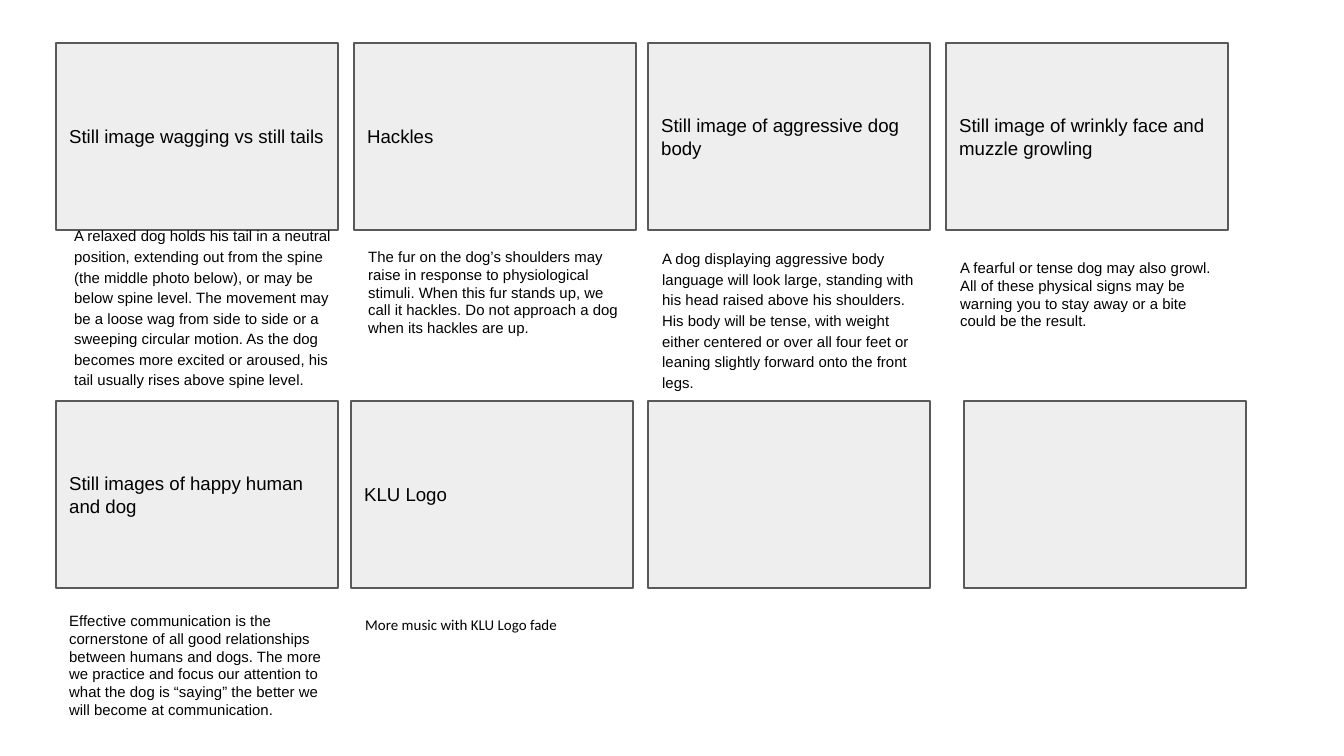
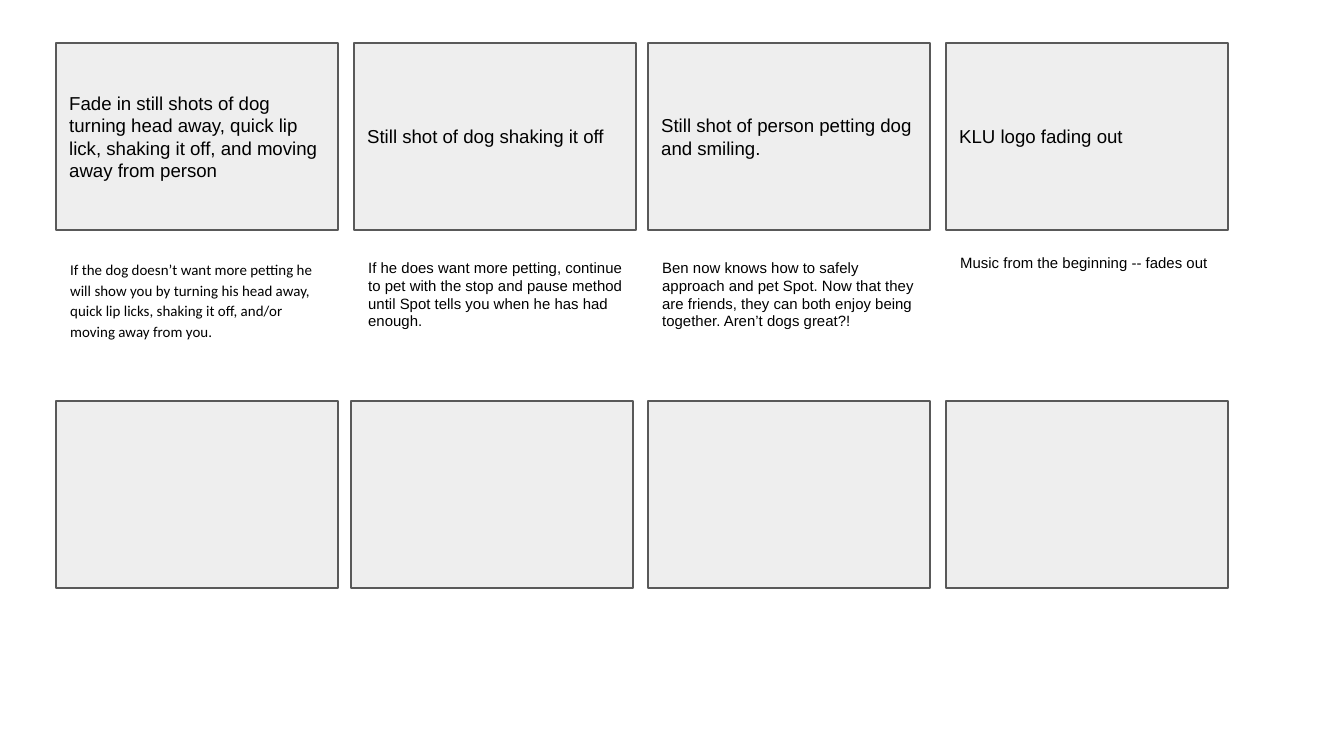
from dataclasses import dataclass
from pptx import Presentation
from pptx.dml.color import RGBColor
from pptx.enum.shapes import MSO_SHAPE
from pptx.enum.text import MSO_ANCHOR, PP_ALIGN
from pptx.util import Pt


@dataclass(frozen=True)
class Theme:
    fill: str = "EEEEEE"
    line: str = "595959"
    ink: str = "000000"
    font: str = "Arial"
    alt: str = "Calibri"
    title: int = 10
    note: int = 8
    edge: float = 0.75


@dataclass(frozen=True)
class Frame:
    title: str = ""
    note: str = ""
    shift: int = 0
    right: int = 1
    drop: int = 202
    tall: int = 133
    lead: float = 1.0
    font: str = Theme.font


BOARDS = [
    [
        [
            Frame("Still image wagging vs still tails",
                  "A relaxed dog holds his tail in a neutral position, extending out from "
                  "the spine (the middle photo below), or may be below spine level. The "
                  "movement may be a loose wag from side to side or a sweeping circular "
                  "motion. As the dog becomes more excited or aroused, his tail usually "
                  "rises above spine level.",
                  right=5, drop=168, tall=187, lead=1.15),
            Frame("Hackles",
                  "The fur on the dog’s shoulders may raise in response to physiological "
                  "stimuli. When this fur stands up, we call it hackles. Do not approach "
                  "a dog when its hackles are up.",
                  drop=191),
            Frame("Still image of aggressive dog body",
                  "A dog displaying aggressive body language will look large, standing "
                  "with his head raised above his shoulders. His body will be tense, with "
                  "weight either centered or over all four feet or leaning slightly "
                  "forward onto the front legs.",
                  drop=191, lead=1.15),
            Frame("Still image of wrinkly face and muzzle growling",
                  "A fearful or tense dog may also growl. All of these physical signs may "
                  "be warning you to stay away or a bite could be the result."),
        ],
        [
            Frame("Still images of happy human and dog",
                  "Effective communication is the cornerstone of all good relationships "
                  "between humans and dogs. The more we practice and focus our attention "
                  "to what the dog is “saying” the better we will become at communication.",
                  right=0, drop=197),
            Frame("KLU Logo", "More music with KLU Logo fade",
                  lead=1.15, font=Theme.alt),
            Frame(),
            Frame(shift=18),
        ],
    ],
    [
        [
            Frame("Fade in still shots of dog turning head away, quick lip lick, shaking "
                  "it off, and moving away from person",
                  "If the dog doesn’t want more petting he will show you by turning his "
                  "head away, quick lip licks, shaking it off, and/or moving away from you.",
                  lead=1.15, font=Theme.alt),
            Frame("Still shot of dog shaking it off",
                  "If he does want more petting, continue to pet with the stop and pause "
                  "method until Spot tells you when he has had enough."),
            Frame("Still shot of person petting dog and smiling.",
                  "Ben now knows how to safely approach and pet Spot. Now that they are "
                  "friends, they can both enjoy being together. Aren’t dogs great?!"),
            Frame("KLU logo fading out", "Music from the beginning -- fades out"),
        ],
        [Frame()] * 4,
    ],
]

THEME = Theme()
SCALE = 914400 / 134.4
WIDE, HIGH = 1344, 756
COLS = [(56, 354, 648, 946), (56, 351, 648, 946)]
ROWS = (43, 401)
BOX = (282, 187)
NOTE = 285
PAD = 13.44


def emu(px):
    return round(px * SCALE)


def write(shape, text, size, font=THEME.font, lead=None, anchor=MSO_ANCHOR.TOP):
    body = shape.text_frame
    body.word_wrap = True
    body.vertical_anchor = anchor
    body.margin_left = body.margin_right = emu(PAD)
    body.margin_top = body.margin_bottom = emu(PAD)
    para = body.paragraphs[0]
    para.alignment = PP_ALIGN.LEFT
    para.line_spacing = lead
    run = para.add_run()
    run.text = text
    run.font.size = Pt(size)
    run.font.name = font
    run.font.color.rgb = RGBColor.from_string(THEME.ink)


def panel(slide, frame, left, top):
    area = map(emu, (left, top, *BOX))
    shape = slide.shapes.add_shape(MSO_SHAPE.RECTANGLE, *area)
    shape.shadow.inherit = False
    shape.fill.solid()
    shape.fill.fore_color.rgb = RGBColor.from_string(THEME.fill)
    shape.line.color.rgb = RGBColor.from_string(THEME.line)
    shape.line.width = Pt(THEME.edge)
    if frame.title:
        write(shape, frame.title, THEME.title, anchor=MSO_ANCHOR.MIDDLE)


def caption(slide, frame, left, top):
    area = map(emu, (left + frame.right, top + frame.drop, NOTE, frame.tall))
    shape = slide.shapes.add_textbox(*area)
    write(shape, frame.note, THEME.note, font=frame.font, lead=frame.lead)


deck = Presentation()
deck.slide_width, deck.slide_height = emu(WIDE), emu(HIGH)
for board in BOARDS:
    slide = deck.slides.add_slide(deck.slide_layouts[6])
    for row, top, cols in zip(board, ROWS, COLS):
        for frame, col in zip(row, cols):
            left = col + frame.shift
            panel(slide, frame, left, top)
            if frame.note:
                caption(slide, frame, left, top)
deck.save("out.pptx")
